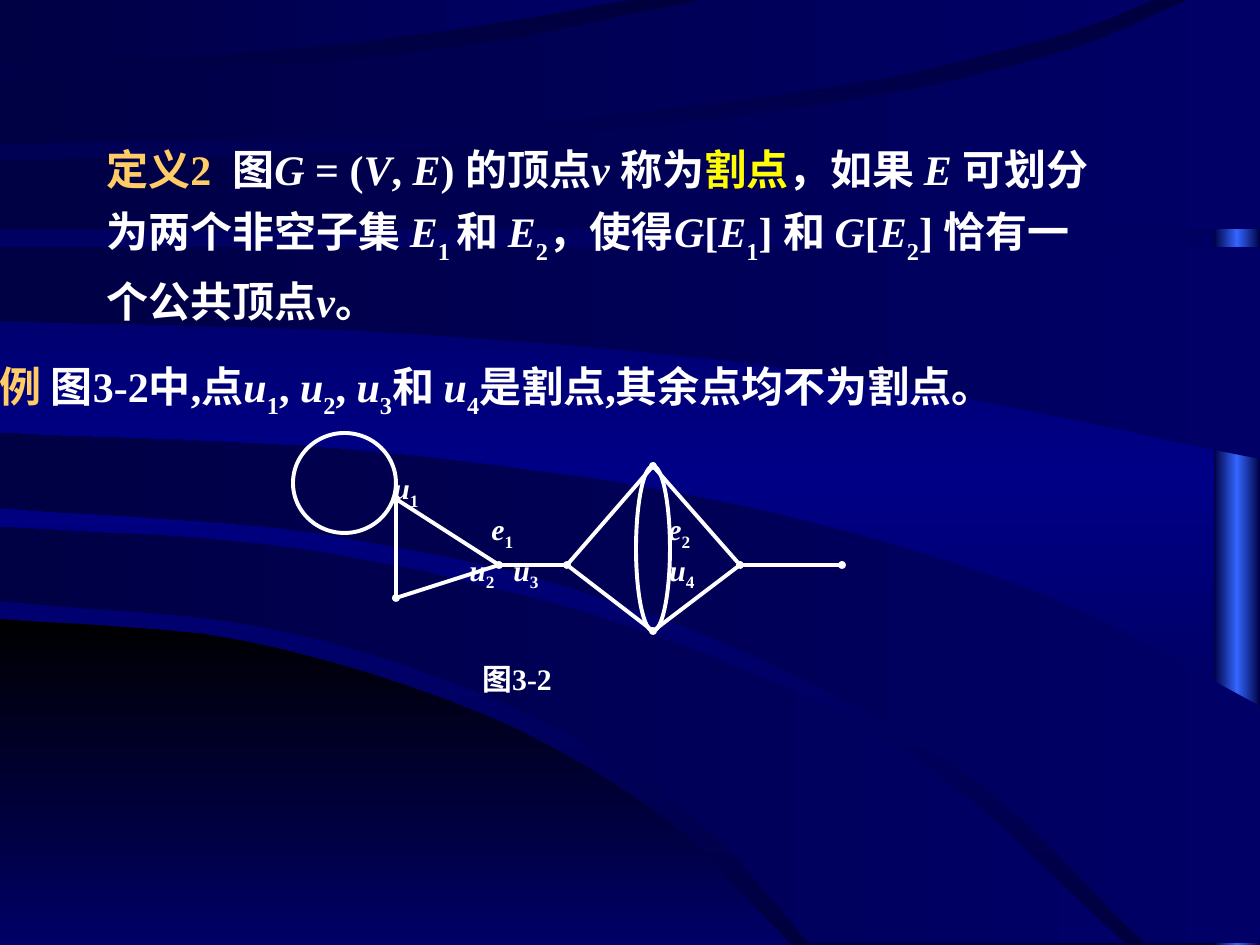
from copy import deepcopy
from dataclasses import dataclass

from lxml import etree
from pptx import Presentation
from pptx.dml.color import RGBColor
from pptx.enum import shapes, text
from pptx.oxml.ns import qn
from pptx.util import Emu, Pt

SCALE = 914400 / 126  # EMU per px
WIDTH, HEIGHT = 1260, 945


@dataclass(frozen=True)
class Theme:
    white: str = "FFFFFF"
    heading: str = "FFCC66"
    key: str = "FFFF00"
    background: tuple = ("00003E", "000086", "00003E")
    bar: tuple = ("000044", "3366FF", "000044")
    disc: tuple = ("000000", "000066")
    band: tuple = ("000066", "000044")
    latin: str = "Times New Roman"
    chinese: str = "Noto Sans CJK SC"
    body: int = 24
    label: int = 17
    stroke: float = 2.25


THEME = Theme()


def px(value):
    return Emu(round(value * SCALE))


# ---- shared drawing helpers ----
def set_gradient(fill, colors, clockwise):
    fill.gradient()
    fill.gradient_angle = 360 - clockwise
    first = fill.gradient_stops[0]._gs
    for _ in colors[2:]:
        first.addnext(deepcopy(first))
    for index, (stop, color) in enumerate(zip(fill.gradient_stops, colors)):
        stop.position = index / (len(colors) - 1)
        stop.color.rgb = RGBColor.from_string(color)


def paint_area(shape, colors, clockwise):
    shape.shadow.inherit = False
    shape.line.fill.background()
    set_gradient(shape.fill, colors, clockwise)


def set_stroke(line):
    line.color.rgb = RGBColor.from_string(THEME.white)
    line.width = Pt(THEME.stroke)


def add_box(parent, box):
    frame = parent.add_textbox(*map(px, box)).text_frame
    frame.word_wrap = True
    return frame


def add_runs(paragraph, runs, size, offset=-30000):
    """Each run is (wording, style): "" plain, i italic, sub, head or key."""
    colors = {"head": THEME.heading, "key": THEME.key}
    for wording, style in runs:
        run = paragraph.add_run()
        run.text = wording
        font = run.font
        font.size, font.bold, font.italic = Pt(size), True, style == "i"
        font.color.rgb = RGBColor.from_string(colors.get(style, THEME.white))
        font.name = THEME.chinese if style == "key" else THEME.latin
        properties = run._r.get_or_add_rPr()
        etree.SubElement(properties, qn("a:ea"), typeface=THEME.chinese)
        if style == "sub":
            properties.set("baseline", str(offset))


# ---- backdrop: each band lies between an upper and a lower curve ----
DISC = [(0, 619), (243, 641), (486, 716), (665, 820), (791, 945)]
BANDS = [  # knots of the upper curve, then of the lower one
    ([(0, 527), (314, 551), (649, 633), (916, 760), (1125, 943)],
     [(0, 601), (278, 630), (524, 712), (697, 820), (809, 943)]),
    ([(0, 433), (364, 451), (718, 501), (1031, 590), (1260, 706)],
     [(0, 508), (336, 536), (656, 616), (953, 764), (1145, 943), (1260, 943)]),
    ([(0, 247), (1260, 247)],
     [(0, 321), (418, 334), (834, 375), (1260, 459)]),
    ([(0, 161), (415, 149), (811, 107), (1052, 55), (1188, 0), (1260, 0)],
     [(0, 229), (1260, 229)]),
    ([(0, 77), (248, 69), (483, 44), (701, 0)],
     [(0, 144), (430, 130), (816, 89), (1046, 39), (1155, 0)]),
    ([(0, 0), (631, 0)],
     [(0, 59), (218, 54), (436, 32), (631, 0)]),
]


def smooth(knots, steps=6):
    """Points of a Catmull-Rom curve; a level last stretch stays straight."""
    tail = []
    if len(knots) > 2 and knots[-1][1] == knots[-2][1]:
        knots, tail = knots[:-1], knots[-1:]
    before = tuple(2 * a - b for a, b in zip(knots[0], knots[1]))
    after = tuple(2 * a - b for a, b in zip(knots[-1], knots[-2]))
    padded = [before, *knots, after]
    points = []
    for quad in zip(padded, padded[1:], padded[2:], padded[3:]):
        for step in range(steps):
            t = step / steps
            points.append(tuple(
                b + t * (c - a) / 2 + t ** 2 * (2 * a - 5 * b + 4 * c - d) / 2
                + t ** 3 * (3 * b - a - 3 * c + d) / 2
                for a, b, c, d in zip(*quad)))
    return points + [knots[-1]] + tail


def draw_backdrop(slide, box):
    left, top, width, height = box
    set_gradient(slide.background.fill, THEME.background, 90)
    bar = slide.shapes.add_shape(shapes.MSO_SHAPE.RECTANGLE,
                                 *map(px, (left + width - 46, top, 46, height)))
    paint_area(bar, THEME.bar, 180)
    areas = [(smooth(DISC) + [(0, height)], THEME.disc, 90)]
    areas += [(smooth(upper) + smooth(lower)[::-1], THEME.band, 180)
              for upper, lower in BANDS]
    for outline, colors, angle in areas:
        points = [(left + x, top + y) for x, y in outline]
        builder = slide.shapes.build_freeform(*points[0], scale=SCALE)
        builder.add_line_segments(points[1:], close=True)
        paint_area(builder.convert_to_shape(), colors, angle)


# ---- wording ----
DEFINITION = [
    ("定义2  ", "head"), ("图", ""), ("G ", "i"), ("= (", ""), ("V", "i"), (", ", ""),
    ("E", "i"), (") 的顶点", ""), ("v ", "i"), ("称为", ""), ("割点", "key"),
    ("，如果 ", ""), ("E ", "i"), ("可划分为两个非空子集 ", ""), ("E", "i"), ("1 ", "sub"),
    ("和 ", ""), ("E", "i"), ("2", "sub"), ("，使得", ""), ("G", "i"), ("[", ""),
    ("E", "i"), ("1", "sub"), ("] 和 ", ""), ("G", "i"), ("[", ""), ("E", "i"),
    ("2", "sub"), ("] 恰有一个公共顶点", ""), ("v", "i"), ("。", "")]
EXAMPLE = [
    ("例 ", "head"), ("图3-2中,点", ""), ("u", "i"), ("1", "sub"), (", ", ""), ("u", "i"),
    ("2", "sub"), (",", ""), (" u", "i"), ("3", "sub"), ("和 ", ""), ("u", "i"),
    ("4", "sub"), ("是割点,其余点均不为割点。", "")]


def write_statement(slide, box, runs, spacing):
    paragraph = add_box(slide.shapes, box).paragraphs[0]
    paragraph.line_spacing = spacing
    add_runs(paragraph, runs, THEME.body)


# ---- figure: graph, then its labels set on tab stops ----
NODES = {"u1": (103, 66), "low": (103, 165), "u2": (206, 132), "u3": (274, 132),
         "top": (360, 33), "bottom": (360, 198), "u4": (447, 132), "end": (549, 132)}
EDGES = ["u1 u2", "low u2", "u2 u3", "u4 top", "top u3", "u3 bottom", "bottom u4",
         "end u4", "u1 low"]
LOOPS = [(0, 0, 103, 100), (343, 33, 34, 165)]
LABEL_ROWS = [[("u1", 58)], [("e1", 156), ("e2", 333)],
              [("u2", 134), ("u3", 178), ("u4", 334)]]


def add_tabs(paragraph, positions):
    tabs = etree.SubElement(paragraph._p.get_or_add_pPr(), qn("a:tabLst"))
    for position in positions:
        etree.SubElement(tabs, qn("a:tab"), pos=str(px(position)), algn="l")


def draw_figure(slide, box):
    left, top, width, height = box
    group = slide.shapes.add_group_shape().shapes
    for x, y, loop_width, loop_height in LOOPS:
        loop = group.add_shape(shapes.MSO_SHAPE.OVAL,
                               *map(px, (left + x, top + y, loop_width, loop_height)))
        loop.shadow.inherit = False
        loop.fill.background()
        set_stroke(loop.line)
    for edge in EDGES:
        ends = [px(origin + offset) for name in edge.split()
                for origin, offset in zip((left, top), NODES[name])]
        connector = group.add_connector(shapes.MSO_CONNECTOR.STRAIGHT, *ends)
        set_stroke(connector.line)
        etree.SubElement(connector.line._get_or_add_ln(), qn("a:headEnd"),
                         type="oval", w="sm", len="sm")
        etree.SubElement(connector._element.spPr, qn("a:effectLst"))

    frame = add_box(group, (left + 30, top + 31, width - 34, height - 31))
    for index, row in enumerate(LABEL_ROWS):
        paragraph = frame.add_paragraph() if index else frame.paragraphs[0]
        add_tabs(paragraph, [position for _, position in row])
        for (letter, digit), _ in row:
            add_runs(paragraph, [("\t" + letter, "i"), (digit, "sub")],
                     THEME.label, -25000)
    caption = frame.add_paragraph()
    caption.space_before = Pt(39)
    add_tabs(caption, [147])
    add_runs(caption, [("\t图3-2", "")], THEME.label)
    for paragraph in frame.paragraphs:
        paragraph.alignment = text.PP_ALIGN.LEFT


def main():
    presentation = Presentation()
    presentation.slide_width, presentation.slide_height = px(WIDTH), px(HEIGHT)
    slide = presentation.slides.add_slide(presentation.slide_layouts[6])
    draw_backdrop(slide, (0, 0, WIDTH, HEIGHT))
    write_statement(slide, (94, 127, 1014, 205), DEFINITION, 1.2)
    draw_figure(slide, (293, 433, 549, 288))
    write_statement(slide, (-13, 354, 1246, 72), EXAMPLE, 1.0)
    presentation.save("out.pptx")


if __name__ == "__main__":
    main()
